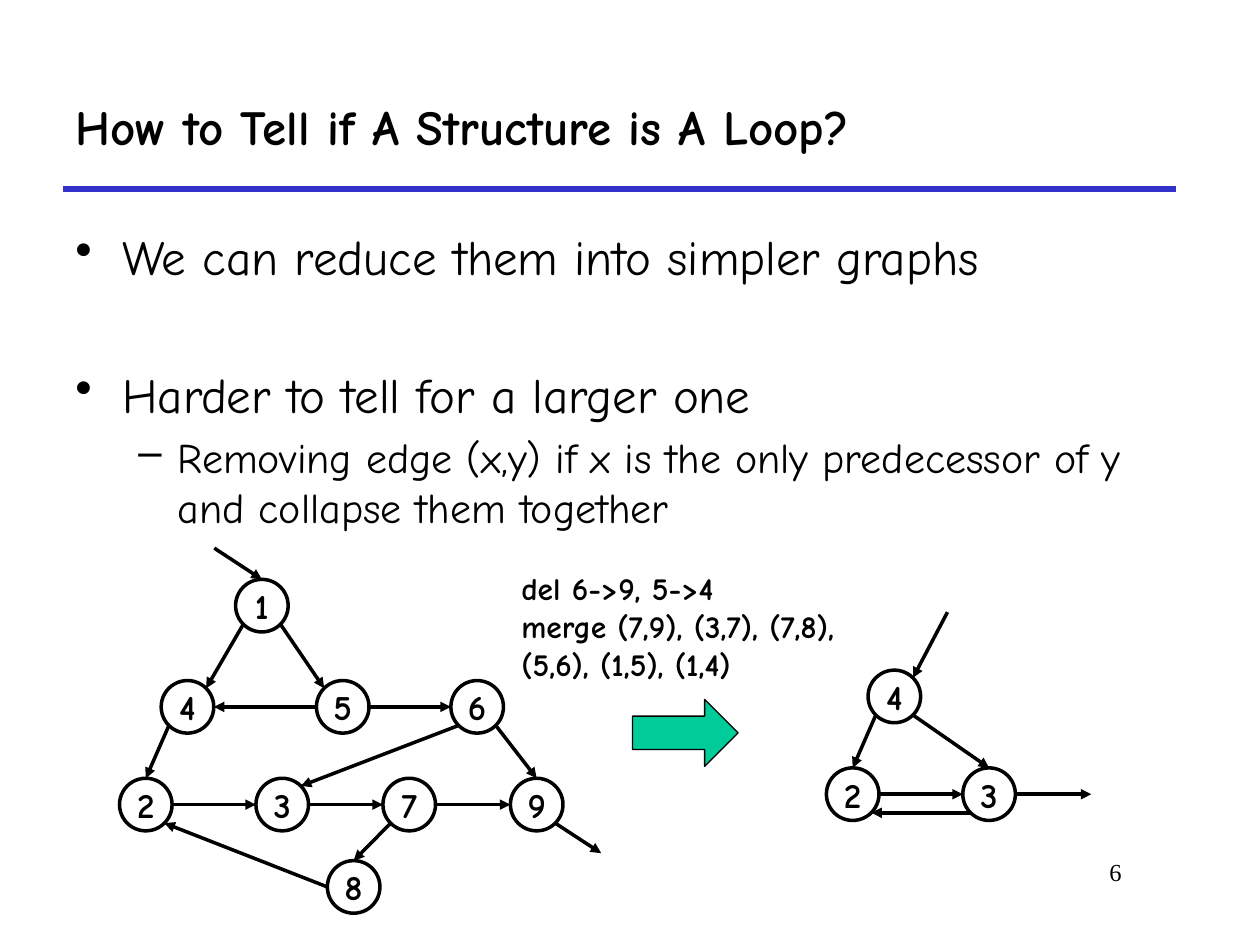
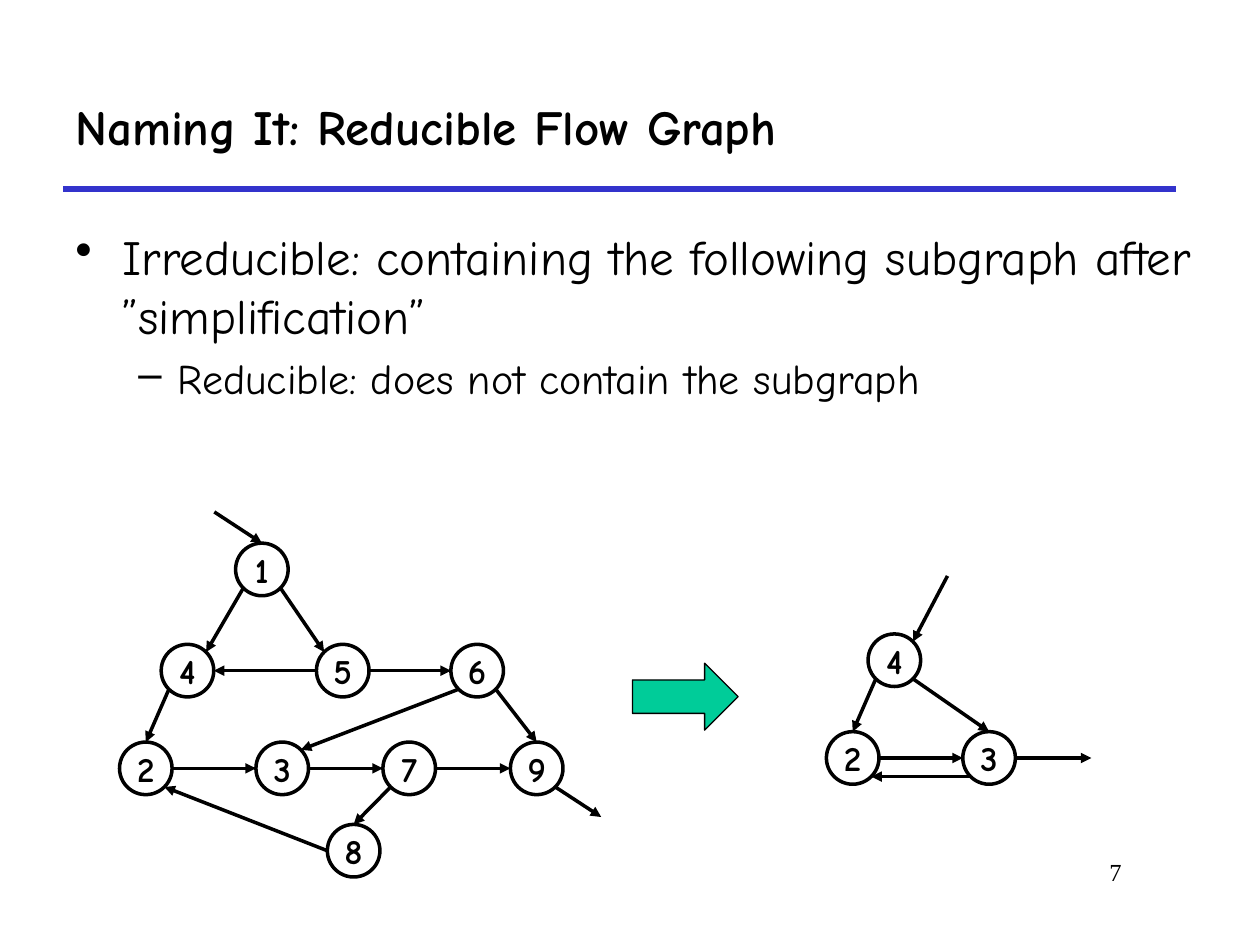
"""Build two slides on reducing flow graphs to tell whether they are loops."""
from math import cos, radians, sin

from lxml.etree import SubElement
from pptx import Presentation
from pptx.dml.color import RGBColor
from pptx.enum.shapes import MSO_CONNECTOR, MSO_SHAPE
from pptx.enum.text import MSO_ANCHOR, PP_ALIGN
from pptx.oxml.ns import qn
from pptx.util import Cm, Pt

BLACK = RGBColor(0x00, 0x00, 0x00)
RULE_BLUE = RGBColor(0x33, 0x33, 0xCC)
ARROW_GREEN = RGBColor(0x00, 0xCC, 0x99)

TITLE_FONT = {"name": "Comic Neue", "size": Pt(28), "bold": True}
NODE_FONT = {"name": "Comic Neue", "size": Pt(20), "bold": True}
STEPS_FONT = {"name": "Comic Neue", "size": Pt(18), "bold": True}
NUMBER_FONT = {"name": "Times New Roman", "size": Pt(14)}
LEVELS = [
    {"bullet": "•", "size": 28, "margin": 0.95, "indent": -0.95},
    {"bullet": "–", "size": 24, "margin": 2.06, "indent": -0.79},
]

TITLE_BOX = (1.27, 1.27, 22.43, 2.54)
BODY_BOX = (1.27, 4.45, 23.06, 12.27)
NUMBER_BOX = (19.25, 17.15, 3.61, 1.27)
RULE = ((1.27, 3.81), (23.7, 3.81))
STEPS_BOX = (10.26, 11.35, 7.77, 2.64)
ARROW_BOX = (12.75, 14.1, 2.13, 1.35)

NODE_SIZE = 1.06
COMPASS = {"E": 0, "SE": 45, "S": 90, "SW": 135, "W": 180, "NW": 225, "N": 270, "NE": 315}

FULL_GRAPH = {
    "nodes": {
        "1": (4.75, 11.68),
        "4": (3.25, 13.72), "5": (6.38, 13.72), "6": (9.09, 13.72),
        "2": (2.41, 15.69), "3": (5.16, 15.69), "7": (7.72, 15.69), "9": (10.29, 15.69),
        "8": (6.6, 17.35),
    },
    "edges": [
        ((4.32, 11.05), "1 N"), ("1 SW", "4 NE"), ("1 SE", "5 NW"),
        ("5 E", "6 W"), ("5 W", "4 E"), ("4 SW", "2 N"),
        ("2 E", "3 W"), ("3 E", "7 W"), ("7 E", "9 W"),
        ("6 SW", "3 NE"), ("6 SE", "9 N"), ("9 SE", (12.12, 17.2)),
        ("7 SW", "8 N"), ("8 W", "2 SE"),
    ],
}
REDUCED_GRAPH = {
    "nodes": {"4": (17.5, 13.51), "2": (16.66, 15.48), "3": (19.41, 15.48)},
    "edges": [
        ((19.1, 12.34), "4 NE"), ("4 SW", "2 N"), ("4 SE", "3 N"),
        ("2 E", "3 W"), ("3 SW", "2 SE"), ("3 E", (22, 16.01)),
    ],
}

SLIDES = [
    {
        "number": "6",
        "title": "How to Tell if A Structure is A Loop?",
        "points": [
            (0, "We can reduce them into simpler graphs", 0),
            (0, "Harder to tell for a larger one", 39.2),
            (1, "Removing edge (x,y) if x is the only predecessor of y "
                "and collapse them together", 0),
        ],
        "steps": ["del 6->9, 5->4", "merge (7,9), (3,7), (7,8),", "(5,6), (1,5), (1,4)"],
        "lift": 0,
    },
    {
        "number": "7",
        "title": "Naming It: Reducible Flow Graph",
        "points": [
            (0, "Irreducible: containing the following subgraph after ”simplification”", 0),
            (1, "Reducible: does not contain the subgraph", 0),
        ],
        "steps": [],
        "lift": 0.73,
    },
]


def write(paragraph, text, font_format, align=PP_ALIGN.LEFT):
    paragraph.alignment = align
    run = paragraph.add_run()
    run.text = text
    for attribute, value in font_format.items():
        setattr(run.font, attribute, value)
    run.font.color.rgb = BLACK


def add_text(slide, box, lines, font_format, anchor=MSO_ANCHOR.TOP, align=PP_ALIGN.LEFT):
    frame = slide.shapes.add_textbox(*map(Cm, box)).text_frame
    frame.word_wrap = True
    frame.vertical_anchor = anchor
    for index, line in enumerate(lines):
        paragraph = frame.add_paragraph() if index else frame.paragraphs[0]
        write(paragraph, line, font_format, align)
    return frame


def add_body(slide, points):
    frame = add_text(slide, BODY_BOX, [], {})
    for index, (depth, text, gap) in enumerate(points):
        level = LEVELS[depth]
        paragraph = frame.add_paragraph() if index else frame.paragraphs[0]
        paragraph.level = depth
        paragraph.space_before = Pt(0.2 * level["size"] + gap)
        write(paragraph, text, {"name": "Comic Neue", "size": Pt(level["size"])})
        properties = paragraph._p.get_or_add_pPr()
        properties.set("marL", str(Cm(level["margin"])))
        properties.set("indent", str(Cm(level["indent"])))
        SubElement(properties, qn("a:buChar"), char=level["bullet"])


def add_line(slide, start, end, color, width, arrow=False):
    line = slide.shapes.add_connector(MSO_CONNECTOR.STRAIGHT, *map(Cm, (*start, *end)))
    line.line.color.rgb = color
    line.line.width = Pt(width)
    if arrow:
        SubElement(line.line._get_or_add_ln(), qn("a:tailEnd"), type="triangle")
    SubElement(line._element.spPr, qn("a:effectLst"))


def add_outlined(slide, preset, box, width):
    shape = slide.shapes.add_shape(preset, *map(Cm, box))
    shape.shadow.inherit = False
    shape.line.color.rgb = BLACK
    shape.line.width = Pt(width)
    return shape


def edge_point(end, nodes, lift):
    """Return where an edge ends: a free point, or a compass side of a node."""
    if isinstance(end, tuple):
        x, y = end
    else:
        node, side = end.split()
        left, top = nodes[node]
        radius, angle = NODE_SIZE / 2, radians(COMPASS[side])
        x = left + radius * (1 + cos(angle))
        y = top + radius * (1 + sin(angle))
    return x, y - lift


def add_graph(slide, graph, lift):
    nodes = graph["nodes"]
    for label, (left, top) in nodes.items():
        node = add_outlined(slide, MSO_SHAPE.OVAL, (left, top - lift, NODE_SIZE, NODE_SIZE), 2)
        node.fill.background()
        frame = node.text_frame
        frame.word_wrap = False
        frame.vertical_anchor = MSO_ANCHOR.MIDDLE
        for side in ("left", "top", "right", "bottom"):
            setattr(frame, f"margin_{side}", 0)
        write(frame.paragraphs[0], label, NODE_FONT, PP_ALIGN.CENTER)
    for edge in graph["edges"]:
        start, end = (edge_point(tip, nodes, lift) for tip in edge)
        add_line(slide, start, end, BLACK, 2, arrow=True)


def add_slide(deck, content):
    slide = deck.slides.add_slide(deck.slide_layouts[6])
    lift = content["lift"]
    add_line(slide, *RULE, RULE_BLUE, 3)
    add_text(slide, TITLE_BOX, [content["title"]], TITLE_FONT, anchor=MSO_ANCHOR.MIDDLE)
    add_body(slide, content["points"])
    add_text(slide, NUMBER_BOX, [content["number"]], NUMBER_FONT, align=PP_ALIGN.RIGHT)
    for graph in (REDUCED_GRAPH, FULL_GRAPH):
        add_graph(slide, graph, lift)
    left, top, width, height = ARROW_BOX
    arrow = add_outlined(slide, MSO_SHAPE.RIGHT_ARROW, (left, top - lift, width, height), 0.75)
    arrow.fill.solid()
    arrow.fill.fore_color.rgb = ARROW_GREEN
    if content["steps"]:
        add_text(slide, STEPS_BOX, content["steps"], STEPS_FONT)


def main():
    deck = Presentation()
    deck.slide_width, deck.slide_height = Cm(25.4), Cm(19.05)
    for content in SLIDES:
        add_slide(deck, content)
    deck.save("out.pptx")


if __name__ == "__main__":
    main()
